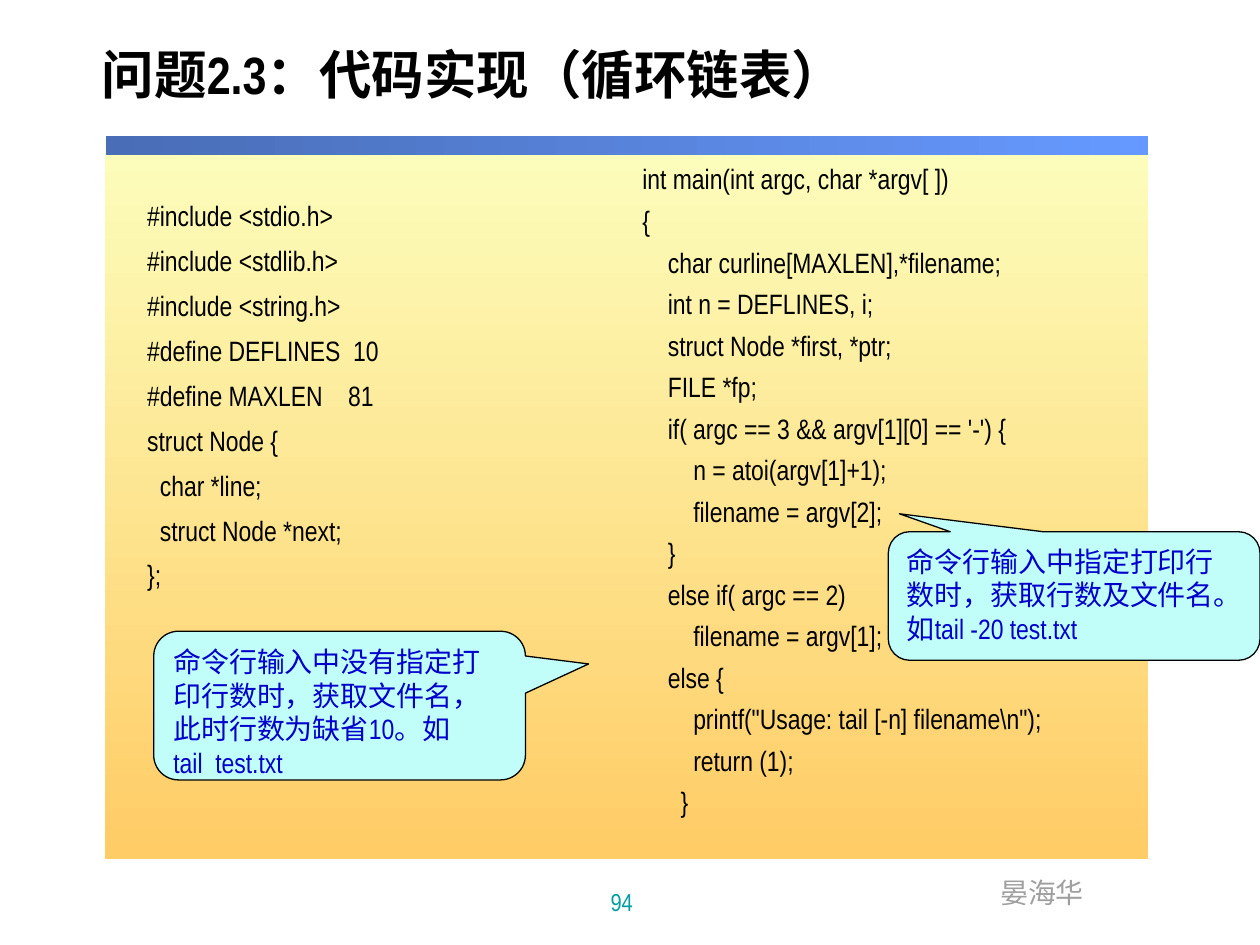
from lxml import etree
from pptx import Presentation
from pptx import util as u
from pptx.dml.color import RGBColor
from pptx.enum import shapes, text
from pptx.oxml.ns import qn

COLORS = {
    "black": "000000", "blue": "0000CC", "grey": "9F9F9F", "teal": "009EA1",
    "callout": "C1FEF9", "cream": "FCFEBC", "orange": "FFCC66",
    "navy": "496DB6", "sky": "6699FF",
}
FONT = "Arial Narrow"
HANGING = u.Inches(0.31)
CODE_GAP = u.Pt(10.3)

DECLARATIONS = """\
#include <stdio.h>
#include <stdlib.h>
#include <string.h>
#define DEFLINES  10
#define MAXLEN    81
struct Node {
  char *line;
  struct Node *next;
};"""

MAIN_FUNCTION = r"""int main(int argc, char *argv[ ])
{
    char curline[MAXLEN],*filename;
    int n = DEFLINES, i;
    struct Node *first, *ptr;
    FILE *fp;
    if( argc == 3 && argv[1][0] == '-') {
        n = atoi(argv[1]+1);
        filename = argv[2];
    }
    else if( argc == 2)
        filename = argv[1];
    else {
        printf("Usage: tail [-n] filename\n");
        return (1);
      }"""


def color(name):
    return RGBColor.from_string(COLORS[name])


def inches(area):
    return [u.Inches(value) for value in area]


def write(frame, content, size=16, ink="black", bold=False, align=None,
          anchor=text.MSO_ANCHOR.TOP, spacing=None, gap=None, hanging=False,
          wrap=True):
    """Fill a text frame with one paragraph per line of content."""
    frame.word_wrap = wrap
    frame.vertical_anchor = anchor
    for index, line in enumerate(content.split("\n")):
        para = frame.paragraphs[0] if index == 0 else frame.add_paragraph()
        para.alignment = align
        para.line_spacing = spacing
        if index and gap:
            para.space_before = gap
        if hanging:
            properties = para._p.get_or_add_pPr()
            properties.set("marL", str(HANGING))
            properties.set("indent", str(-HANGING))
        span = para.add_run()
        span.text = line
        span.font.name = FONT
        span.font.size = u.Pt(size)
        span.font.bold = bold
        span.font.color.rgb = color(ink)


def add_text(page, area, content, **style):
    box = page.shapes.add_textbox(*inches(area))
    write(box.text_frame, content, **style)


def add_code(page, area, code, spacing):
    add_text(page, area, code, spacing=spacing, gap=CODE_GAP, hanging=True)


def add_gradient(page, area, start, end, angle):
    panel = page.shapes.add_shape(shapes.MSO_SHAPE.RECTANGLE, *inches(area))
    panel.shadow.inherit = False
    panel.line.fill.background()
    panel.fill.gradient()
    panel.fill.gradient_angle = angle
    for stop, name in zip(panel.fill.gradient_stops, (start, end)):
        stop.color.rgb = color(name)


def add_callout(page, area, tip, content):
    """Add a speech bubble whose tip is an offset from its centre."""
    bubble = page.shapes.add_shape(
        shapes.MSO_SHAPE.ROUNDED_RECTANGULAR_CALLOUT, *inches(area))
    bubble.shadow.inherit = False
    bubble.adjustments[0], bubble.adjustments[1] = tip
    bubble.fill.solid()
    bubble.fill.fore_color.rgb = color("callout")
    bubble.line.color.rgb = color("black")
    bubble.line.width = u.Pt(0.75)
    write(bubble.text_frame, content, ink="blue", align=text.PP_ALIGN.LEFT)


def main():
    deck = Presentation()
    deck.slide_width, deck.slide_height = u.Inches(10), u.Inches(7.5)
    page = deck.slides.add_slide(deck.slide_layouts[6])

    add_gradient(page, (0.83, 1.1, 8.28, 5.72), "cream", "orange", 270)
    add_gradient(page, (0.84, 1.08, 8.27, 0.15), "navy", "sky", 0)
    add_text(page, (7.84, 6.9, 0.87, 0.37), "晏海华", ink="grey", wrap=False)
    add_text(page, (3.35, 6.82, 3.17, 0.5), "94", size=14, ink="teal",
             align=text.PP_ALIGN.CENTER, anchor=text.MSO_ANCHOR.BOTTOM)
    add_text(page, (0.71, 0.17, 8.96, 0.92), "问题2.3：代码实现（循环链表）",
             size=30, bold=True, spacing=0.8, anchor=text.MSO_ANCHOR.MIDDLE)

    add_code(page, (1.07, 1.58, 3.54, 4.98), DECLARATIONS, 0.8)
    add_code(page, (5, 1.31, 4.01, 5.4), MAIN_FUNCTION, 0.7)

    add_callout(page, (7.05, 4.22, 2.95, 1.02), (-0.47, -0.64),
                "命令行输入中指定打印行数时，获取行数及文件名。如tail -20 test.txt")
    add_callout(page, (1.22, 5.01, 2.95, 1.18), (0.67, -0.28),
                "命令行输入中没有指定打印行数时，获取文件名，此时行数为缺省10。如\n"
                "tail  test.txt")
    deck.save("out.pptx")


if __name__ == "__main__":
    main()
